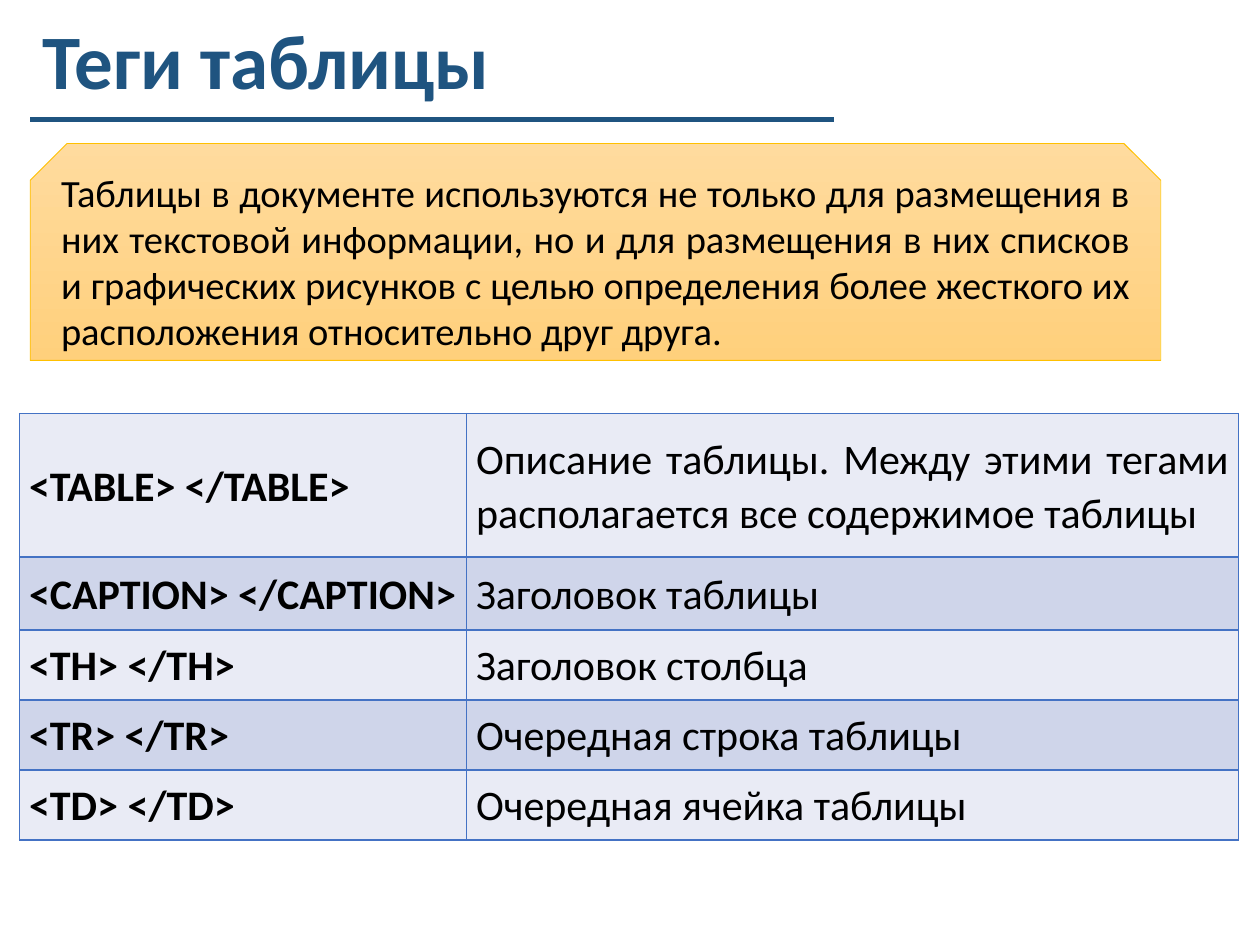
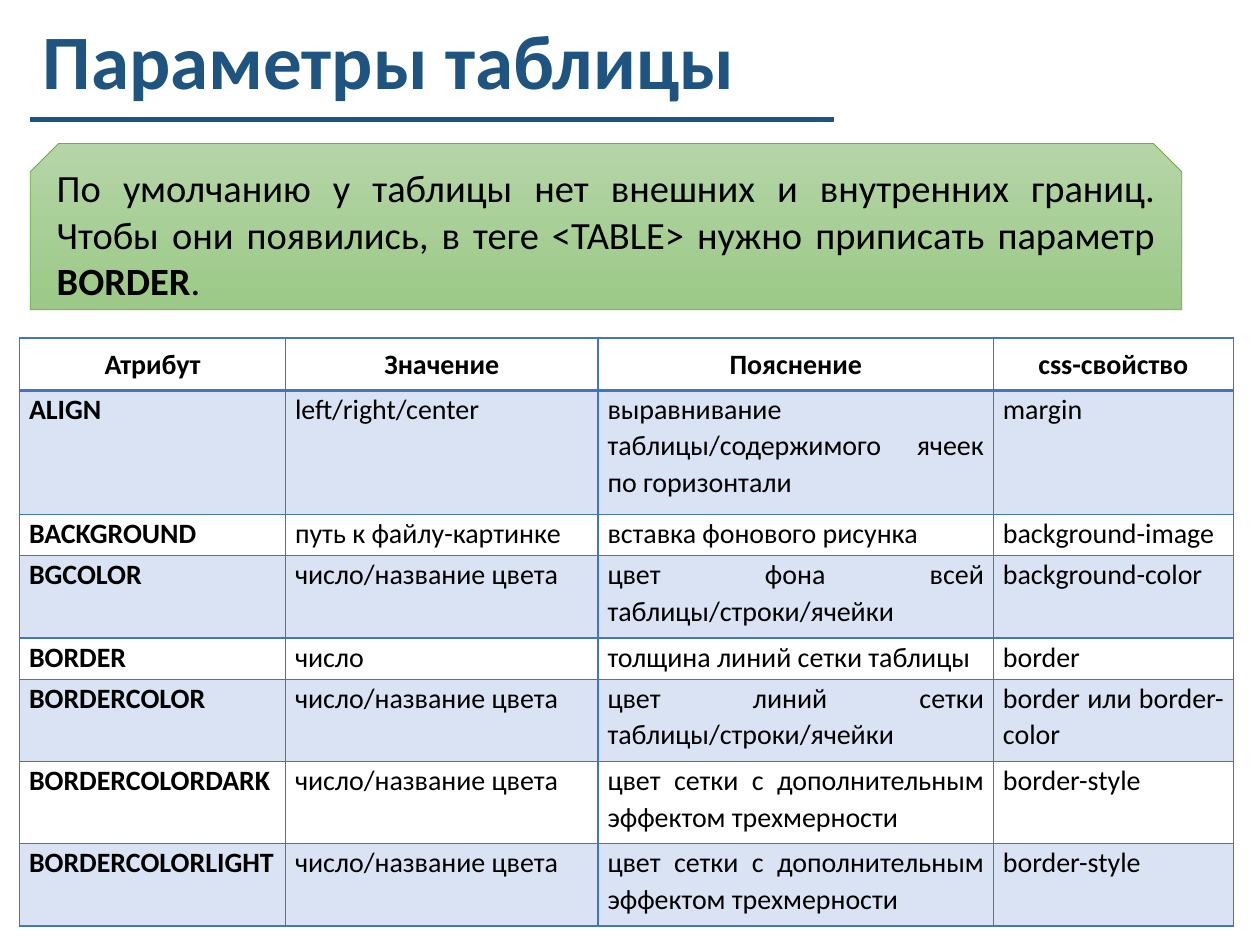
from dataclasses import dataclass

from lxml import etree
from pptx import Presentation
from pptx.dml.color import RGBColor
from pptx.enum import shapes, text
from pptx.oxml import ns
from pptx.util import Pt


@dataclass(frozen=True)
class Theme:
    font: str = "Calibri"
    heading: str = "1F5480"
    body: str = "000000"
    grid: str = "4472C4"
    white: str = "FFFFFF"
    # Gradient top, gradient bottom, outline
    orange: tuple = ("FFDB9E", "FFD07C", "FFC000")
    green: tuple = ("B5D5A7", "9CC987", "70AD47")
    # Colours of odd and even table rows
    tag_bands: tuple = ("E9EBF5", "CFD5EA")
    parameter_bands: tuple = ("FFFFFF", "DAE3F3")
    title_size: int = 44
    note_size: int = 22
    tag_size: int = 24
    parameter_size: int = 16
    table_spacing: float = 1.07


THEME = Theme()
ALIGN = text.PP_ALIGN
ANCHOR = text.MSO_ANCHOR

# Boxes are left, top, width, height in points
TITLE_BOX = (17.3, 0, 543, 74)
RULE_BOX = (17.3, 68.3, 459.5, 0)

TAGS = [
    ("<TABLE> </TABLE>", "Описание таблицы. Между этими тегами располагается все содержимое таблицы"),
    ("<CAPTION> </CAPTION>", "Заголовок таблицы"),
    ("<TH> </TH>", "Заголовок столбца"),
    ("<TR> </TR>", "Очередная строка таблицы"),
    ("<TD> </TD>", "Очередная ячейка таблицы"),
]
COLOUR_VALUE = "число/название цвета"
RELIEF = "цвет сетки с дополнительным эффектом трехмерности"
PARAMETERS = [
    ("Атрибут", "Значение", "Пояснение", "css-свойство"),
    ("ALIGN", "left/right/center", "выравнивание таблицы/содержимого ячеек по горизонтали", "margin"),
    ("BACKGROUND", "путь к файлу-картинке", "вставка фонового рисунка", "background-image"),
    ("BGCOLOR", COLOUR_VALUE, "цвет фона всей таблицы/строки/ячейки", "background-color"),
    ("BORDER", "число", "толщина линий сетки таблицы", "border"),
    ("BORDERCOLOR", COLOUR_VALUE, "цвет линий сетки таблицы/строки/ячейки", "border или border-color"),
    ("BORDERCOLORDARK", COLOUR_VALUE, RELIEF, "border-style"),
    ("BORDERCOLORLIGHT", COLOUR_VALUE, RELIEF, "border-style"),
]


def colour(value):
    return RGBColor.from_string(value)


def apply_format(target, formats):
    for name, value in formats.items():
        setattr(target, name, value)


def place(shape, box):
    apply_format(shape, dict(zip(("left", "top", "width", "height"), map(Pt, box))))


def write(paragraph, runs, size, ink=THEME.body, **paragraph_formats):
    """Fill a paragraph with (words, bold) runs."""
    apply_format(paragraph, paragraph_formats)
    for words, bold in runs:
        run = paragraph.add_run()
        run.text = words
        apply_format(run.font, {"name": THEME.font, "size": Pt(size), "bold": bold})
        run.font.color.rgb = colour(ink)


def add_heading(slide, words):
    # Title
    title = slide.shapes.title
    place(title, TITLE_BOX)
    apply_format(title.text_frame, {
        "vertical_anchor": ANCHOR.MIDDLE,
        "auto_size": text.MSO_AUTO_SIZE.NONE,
        "word_wrap": True,
    })
    write(title.text_frame.paragraphs[0], [(words, True)], THEME.title_size,
          THEME.heading, alignment=ALIGN.LEFT, line_spacing=0.9)

    # Rule under the title
    left, top, width, height = RULE_BOX
    rule = slide.shapes.add_connector(
        shapes.MSO_CONNECTOR.STRAIGHT, Pt(left), Pt(top), Pt(left + width), Pt(top + height))
    rule.line.color.rgb = colour(THEME.heading)
    rule.line.width = Pt(3)
    etree.SubElement(rule.element.spPr, ns.qn("a:effectLst"))


def add_note(slide, box, palette, runs, snip):
    note = slide.shapes.add_shape(shapes.MSO_SHAPE.SNIP_2_SAME_RECTANGLE, *map(Pt, box))
    note.adjustments[0] = snip
    note.shadow.inherit = False
    start, end, outline = palette
    note.fill.gradient()
    note.fill.gradient_angle = 270
    for stop, value in zip(note.fill.gradient_stops, (start, end)):
        stop.color.rgb = colour(value)
    note.line.color.rgb = colour(outline)
    note.line.width = Pt(0.5)
    apply_format(note.text_frame, {
        "word_wrap": True,
        "vertical_anchor": ANCHOR.MIDDLE,
        "auto_size": text.MSO_AUTO_SIZE.SHAPE_TO_FIT_TEXT,
    })
    write(note.text_frame.paragraphs[0], runs, THEME.note_size, alignment=ALIGN.JUSTIFY)


def set_borders(cell, top=1, bottom=1):
    properties = cell._tc.get_or_add_tcPr()
    widths = {"lnL": 1, "lnR": 1, "lnT": top, "lnB": bottom}
    for index, (side, width) in enumerate(widths.items()):
        line = etree.Element(ns.qn(f"a:{side}"), w=str(Pt(width)))
        fill = etree.SubElement(line, ns.qn("a:solidFill"))
        etree.SubElement(fill, ns.qn("a:srgbClr"), val=THEME.grid)
        properties.insert(index, line)


def add_grid(slide, origin, columns, heights, rows, bands, size, anchor, has_header=False):
    box = (*origin, sum(columns), sum(heights))
    table = slide.shapes.add_table(len(rows), len(columns), *map(Pt, box)).table
    apply_format(table, {"first_row": has_header, "horz_banding": False})
    for column, width in zip(table.columns, columns):
        column.width = Pt(width)
    for row, height in zip(table.rows, heights):
        row.height = Pt(height)

    # Cells
    for row_index, row in enumerate(rows):
        is_header = has_header and row_index == 0
        for column_index, words in enumerate(row):
            cell = table.cell(row_index, column_index)
            apply_format(cell, {
                "margin_left": Pt(5.4), "margin_right": Pt(5.4),
                "margin_top": 0, "margin_bottom": 0,
                "vertical_anchor": ANCHOR.MIDDLE if is_header else anchor,
            })
            cell.fill.solid()
            cell.fill.fore_color.rgb = colour(bands[row_index % 2])
            set_borders(cell, top=2 if has_header and row_index == 1 else 1,
                        bottom=2 if is_header else 1)
            write(cell.text_frame.paragraphs[0],
                  [(words, is_header or column_index == 0)], size,
                  alignment=ALIGN.CENTER if is_header else ALIGN.JUSTIFY,
                  line_spacing=THEME.table_spacing)


def new_slide(presentation, title):
    slide = presentation.slides.add_slide(presentation.slide_layouts[5])
    slide.background.fill.solid()
    slide.background.fill.fore_color.rgb = colour(THEME.white)
    add_heading(slide, title)
    return slide


def add_tags_slide(presentation):
    slide = new_slide(presentation, "Теги таблицы")
    add_note(slide, (17.3, 82, 646, 124), THEME.orange, [(
        "Таблицы в документе используются не только для размещения в них текстовой "
        "информации, но и для размещения в них списков и графических рисунков с целью "
        "определения более жесткого их расположения относительно друг друга.", False)],
        snip=0.17)
    add_grid(slide, (11.2, 236.4), (255.5, 441), (82, 41.5, 40, 40, 40), TAGS,
             THEME.tag_bands, THEME.tag_size, ANCHOR.MIDDLE)


def add_parameters_slide(presentation):
    slide = new_slide(presentation, "Параметры таблицы")
    add_note(slide, (17.3, 82, 658, 95), THEME.green, [
        ("По умолчанию у таблицы нет внешних и внутренних границ. Чтобы они появились, "
         "в теге <TABLE> нужно приписать параметр ", False),
        ("BORDER", True),
        (".", False)], snip=0.17)
    add_grid(slide, (11.2, 193), (152, 178.6, 226, 137), (30, 71, 23.6, 47, 23.6, 47, 47, 47),
             PARAMETERS, THEME.parameter_bands, THEME.parameter_size, ANCHOR.TOP,
             has_header=True)


def main():
    presentation = Presentation()
    apply_format(presentation, {"slide_width": Pt(720), "slide_height": Pt(540)})
    add_tags_slide(presentation)
    add_parameters_slide(presentation)
    presentation.save("out.pptx")


if __name__ == "__main__":
    main()
